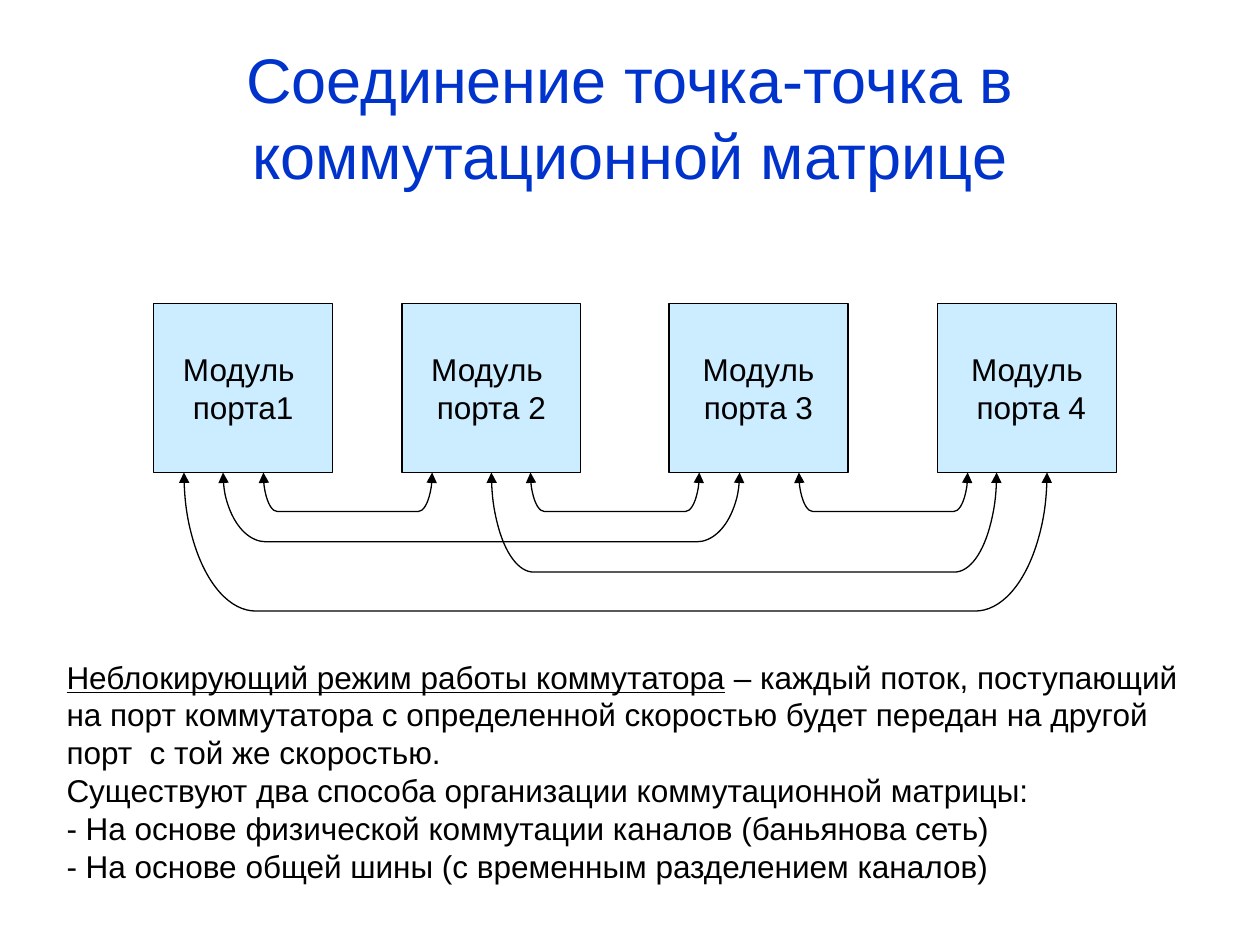
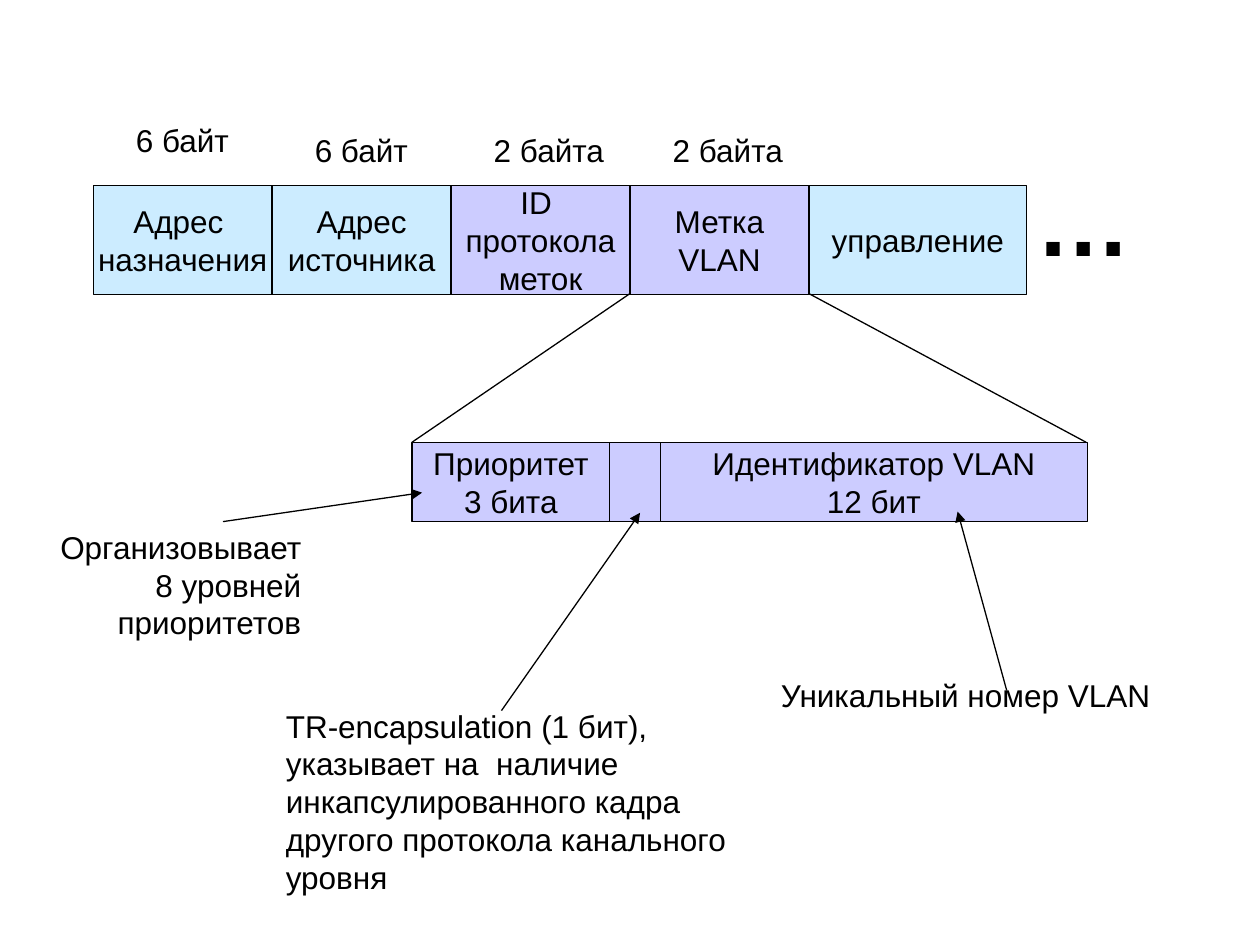
from lxml.etree import SubElement
from pptx import Presentation
from pptx.dml.color import RGBColor
from pptx.enum.shapes import MSO_CONNECTOR, MSO_SHAPE
from pptx.enum.text import MSO_ANCHOR, MSO_AUTO_SIZE, PP_ALIGN
from pptx.oxml.ns import qn
from pptx.util import Inches, Pt

FONT = "Arial"
HUES = {"title": "0033CC", "ink": "000000", "sky": "CCECFF", "lilac": "CCCCFF"}


def ink(shape, heads=()):
    """Give a thin black outline without shadow, and arrowheads at the named ends."""
    shape.line.color.rgb = RGBColor.from_string(HUES["ink"])
    shape.line.width = Pt(0.75)
    props = shape._element.spPr
    for end in heads:
        SubElement(props.find(qn("a:ln")), qn(f"a:{end}"), type="triangle")
    SubElement(props, qn("a:effectLst"))


def put(slide, at, lines, fill=None, align=PP_ALIGN.LEFT, size=18,
        hue="ink", wrap=False, bold=False):
    """Place lines of text, in a filled cell if fill is given; '|' parts the runs."""
    spot = [Inches(n) for n in at]
    if fill:
        shape = slide.shapes.add_shape(MSO_SHAPE.RECTANGLE, *spot)
        shape.fill.solid()
        shape.fill.fore_color.rgb = RGBColor.from_string(HUES[fill])
        ink(shape)
        align = PP_ALIGN.CENTER
    else:
        shape = slide.shapes.add_textbox(*spot)
    frame = shape.text_frame
    frame.word_wrap = wrap
    frame.auto_size = MSO_AUTO_SIZE.NONE if fill else MSO_AUTO_SIZE.SHAPE_TO_FIT_TEXT
    frame.vertical_anchor = MSO_ANCHOR.MIDDLE if fill else MSO_ANCHOR.TOP
    for i, line in enumerate(lines):
        para = frame.add_paragraph() if i else frame.paragraphs[0]
        para.alignment = align
        for part in line.split("|"):
            run = para.add_run()
            run.text = part
            run.font.name = FONT
            run.font.size = Pt(size)
            run.font.bold = bold
            run.font.color.rgb = RGBColor.from_string(HUES[hue])
    return frame


deck = Presentation()
deck.slide_width, deck.slide_height = Inches(10), Inches(7.5)
blank = deck.slide_layouts[6]

# Slide 1: port modules linked point to point
slide = deck.slides.add_slide(blank)
title = put(slide, (0.5, 0.3, 9, 1.25), ["Соединение точка-точка в коммутационной матрице"],
            align=PP_ALIGN.CENTER, size=36, hue="title", wrap=True)
title.auto_size = MSO_AUTO_SIZE.NONE
title.vertical_anchor = MSO_ANCHOR.MIDDLE

ports = [
    (1.22, ["Модуль ", "порта1"]),
    (3.19, ["Модуль ", "порта 2"]),
    (5.31, ["Модуль", "порта 3"]),
    (7.44, ["Модуль", " порта 4"]),
]
for left, name in ports:
    put(slide, (left, 2.41, 1.42, 1.34), name, fill="sky")

base = 3.75
links = [  # left end, right end, depth
    (2.09, 3.43, 0.31),
    (4.21, 5.55, 0.31),
    (6.34, 7.68, 0.31),
    (1.77, 5.87, 0.55),
    (3.9, 7.91, 0.79),
    (1.46, 8.31, 1.1),
]
for left, right, depth in links:
    span = right - left
    # The bracket is turned a quarter about its centre, so its spine lies below
    link = slide.shapes.add_shape(
        MSO_SHAPE.RIGHT_BRACKET,
        Inches((left + right - depth) / 2), Inches(base + (depth - span) / 2),
        Inches(depth), Inches(span))
    link.rotation = 90
    link.adjustments[0] = span / 12 / depth
    link.fill.background()
    ink(link, ["headEnd", "tailEnd"])

note = put(slide, (0.43, 5.17, 9.04, 1.9), [
    "Неблокирующий режим работы коммутатора| – каждый поток, поступающий",
    "на порт коммутатора с определенной скоростью будет передан на другой",
    "порт  с той же скоростью.",
    "Существуют два способа организации коммутационной матрицы:",
    "- На основе физической коммутации каналов (баньянова сеть)",
    "- На основе общей шины (с временным разделением каналов)",
])
note.paragraphs[0].runs[0].font.underline = True

# Slide 2: frame with a VLAN tag
slide = deck.slides.add_slide(blank)
step = 1.42
fields = [
    (["Адрес ", "назначения"], "sky", step),
    (["Адрес", "источника"], "sky", step),
    (["ID ", "протокола", "меток"], "lilac", step),
    (["Метка", "VLAN"], "lilac", step),
    (["управление"], "sky", 1.73),
]
for i, (name, fill, width) in enumerate(fields):
    put(slide, (0.74 + i * step, 1.47, width, 0.87), name, fill=fill)
put(slide, (8.13, 1.24, 0.95, 1), ["…"], size=54, bold=True)

sizes = [("6 байт", 0.91, 0.94), ("6 байт", 0.99, 0.94),
         ("2 байта", 0.99, 1.08), ("2 байта", 0.99, 1.08)]
for i, (label, top, width) in enumerate(sizes):
    put(slide, (0.98 + i * step, top, width, 0.4), [label])

parts = [
    (3.27, 1.57, ["Приоритет", "3 бита"]),
    (4.84, 0.4, []),
    (5.24, 3.39, ["Идентификатор VLAN", "12 бит"]),
]
for left, width, name in parts:
    put(slide, (left, 3.51, width, 0.63), name, fill="lilac")

put(slide, (2.17, 5.56, 3.72, 1.6), [
    "TR-encapsulation (1 бит),",
    "указывает на  наличие",
    "инкапсулированного кадра",
    "другого протокола канального",
    "уровня",
])
put(slide, (0.35, 4.14, 2.14, 1), ["Организовывает", "8 уровней", "приоритетов"],
    align=PP_ALIGN.RIGHT, wrap=True)
put(slide, (6.1, 5.32, 3.14, 0.4), ["Уникальный номер VLAN"])

rays = [  # start, end, arrowheads
    ((5, 2.33), (3.27, 3.51), []),
    ((6.42, 2.33), (8.62, 3.51), []),
    ((3.98, 5.64), (5.08, 4.07), ["tailEnd"]),
    ((1.77, 4.14), (3.35, 3.91), ["tailEnd"]),
    ((7.99, 5.48), (7.6, 4.06), ["tailEnd"]),
]
for start, end, heads in rays:
    ray = slide.shapes.add_connector(
        MSO_CONNECTOR.STRAIGHT, *[Inches(n) for n in start + end])
    ink(ray, heads)

deck.save("out.pptx")
